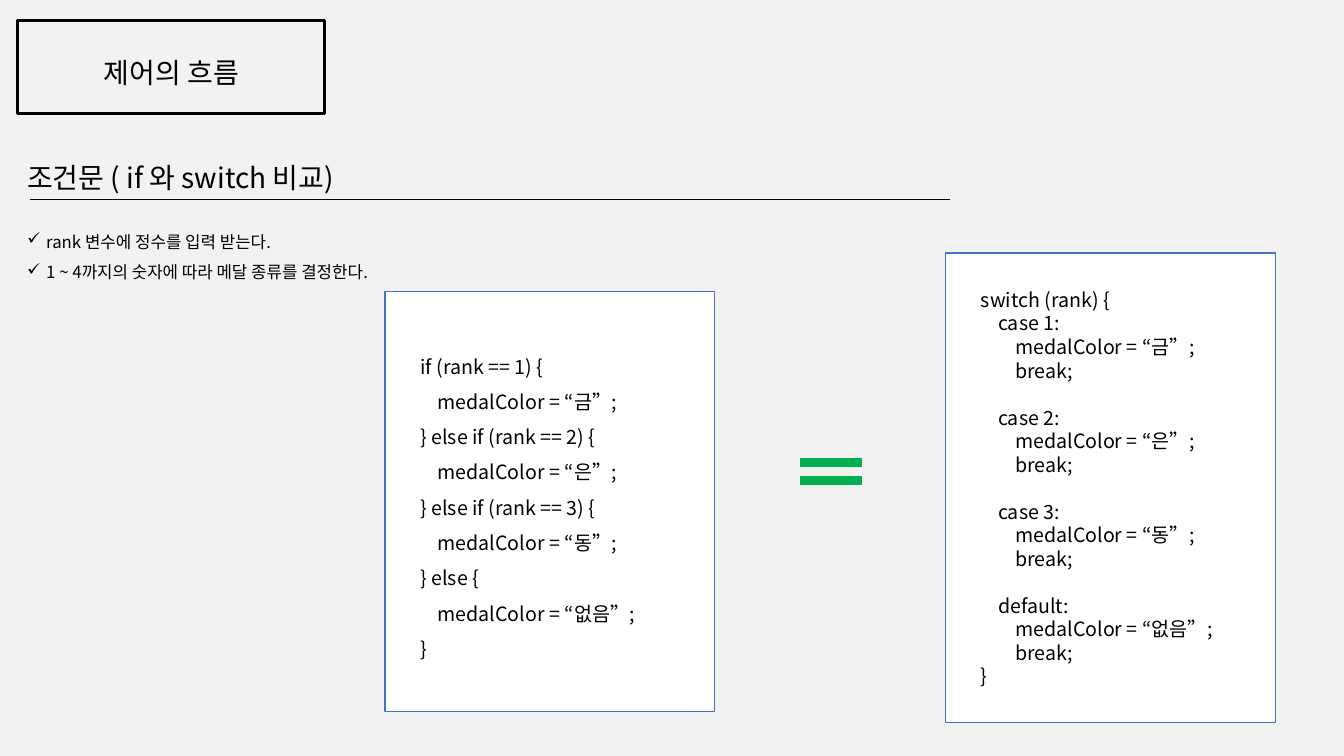
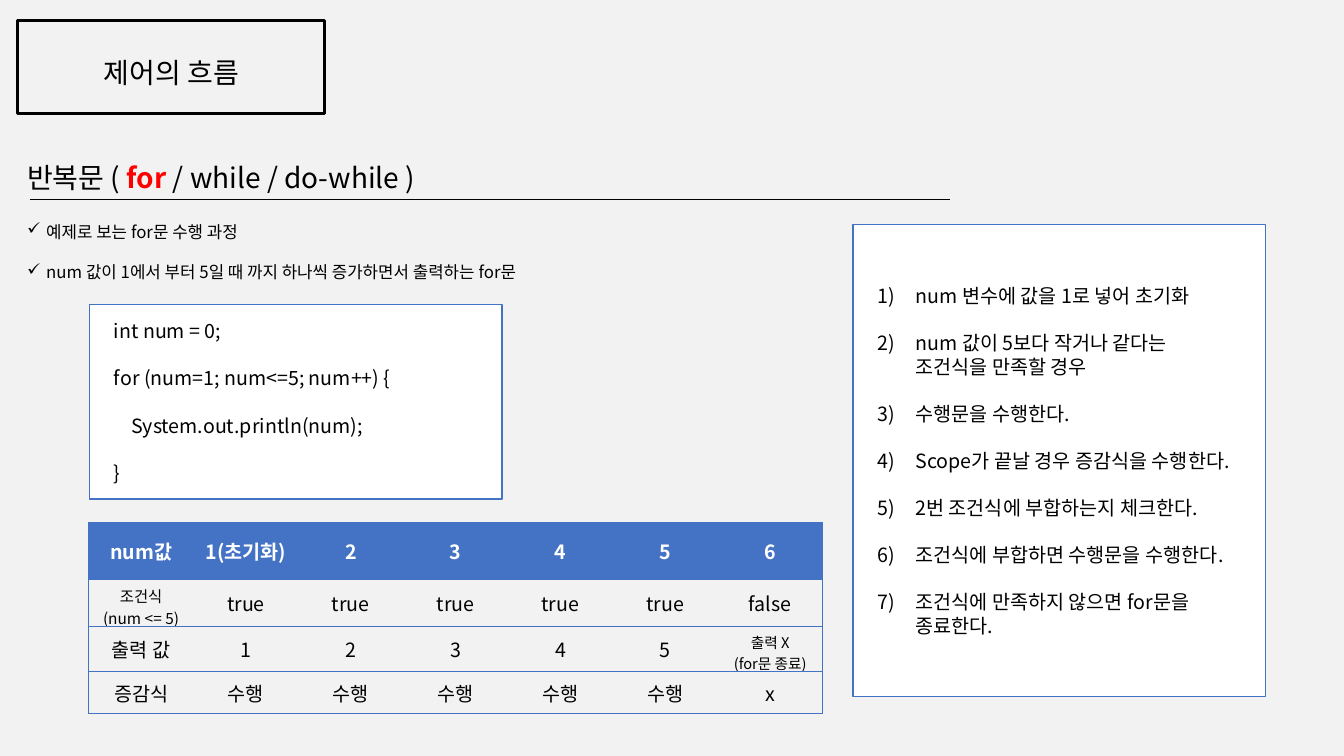
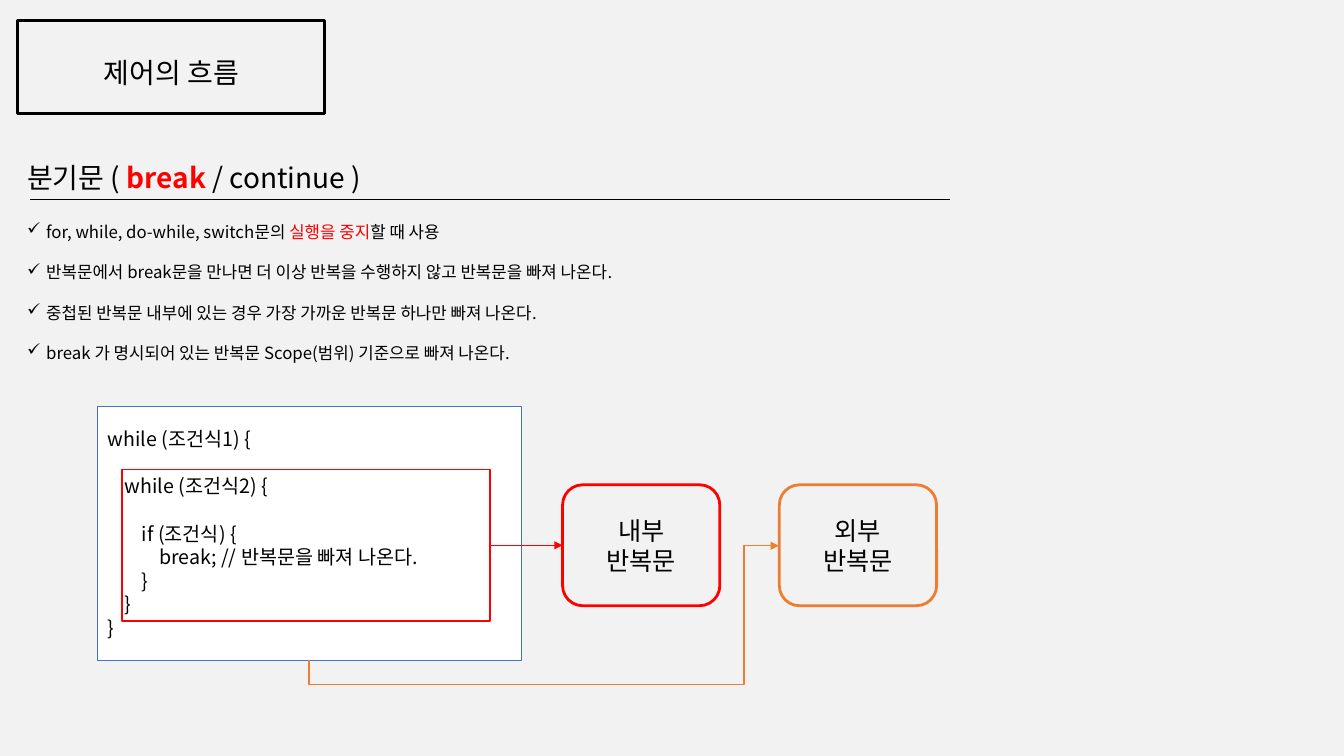
"""Build three slides on control flow: conditions, loops and jumps."""
import pptx
import pptx.util
import pptx.dml.color
import pptx.enum.dml
import pptx.enum.shapes
import pptx.enum.text
import pptx.oxml
import pptx.oxml.ns

PX = 9144
FONT = "Noto Sans CJK KR"
RGB = pptx.dml.color.RGBColor
BLACK, WHITE, PALE = RGB(0, 0, 0), RGB(255, 255, 255), RGB(0xF2, 0xF2, 0xF2)
BLUE, RED = RGB(0x44, 0x72, 0xC4), RGB(255, 0, 0)
GREEN, AMBER = RGB(0, 0xB0, 0x50), RGB(0xED, 0x7D, 0x31)
SHAPE = pptx.enum.shapes.MSO_SHAPE
LINK = pptx.enum.shapes.MSO_CONNECTOR
ALIGN = pptx.enum.text.PP_ALIGN
MID = pptx.enum.text.MSO_ANCHOR.MIDDLE
TOP = pptx.enum.text.MSO_ANCHOR.TOP
NS = pptx.oxml.ns.nsdecls("a")
STEP = 17
CHECK = f'<a:buChar {NS} char="✓"/>'
COUNT = f'<a:buAutoNum {NS} type="arabicParenR"/>'


def box(slide, kind, place, fill=None, line=None, width=1, pad=10, anchor=MID):
    place = [n * PX for n in place]
    if kind is None:
        shape = slide.shapes.add_textbox(*place)
    else:
        shape = slide.shapes.add_shape(kind, *place)
        shape.shadow.inherit = False
    if fill is None:
        shape.fill.background()
    else:
        shape.fill.solid()
        shape.fill.fore_color.rgb = fill
    if line is None:
        shape.line.fill.background()
    else:
        shape.line.color.rgb = line
        shape.line.width = pptx.util.Pt(width)
    frame = shape.text_frame
    frame.word_wrap = True
    frame.vertical_anchor = anchor
    frame.margin_left = pad * PX
    return frame


def say(frame, rows, size=14, align=ALIGN.LEFT, space=None, mark=None, hang=0,
        color=BLACK, bold=False, loud=False):
    """Write rows of (level, blank lines before, text or parts with every second one red)."""
    for i, (level, gap, text) in enumerate(rows):
        para = frame.paragraphs[0] if i == 0 else frame.add_paragraph()
        props = para._p.get_or_add_pPr()
        props.set("marL", str((level * STEP + hang) * PX))
        props.set("indent", str(-hang * PX))
        if mark:
            props.append(pptx.oxml.parse_xml(mark))
        if isinstance(text, str):
            para.text = text
        else:
            for k, part in enumerate(text):
                run = para.add_run()
                run.text = part
                if k % 2:
                    run.font.color.rgb = RED
                    run.font.bold = loud
        para.alignment = align
        if space:
            para.line_spacing = space
        if gap:
            para.space_before = pptx.util.Pt(gap * size * 1.2)
        para.font.size = pptx.util.Pt(size)
        para.font.bold = bold
        para.font.name = FONT
        para.font.color.rgb = color
        props.find(pptx.oxml.ns.qn("a:defRPr")).append(
            pptx.oxml.parse_xml(f'<a:ea {NS} typeface="{FONT}"/>'))


deck = pptx.Presentation()
deck.slide_width, deck.slide_height = 1333 * PX, 750 * PX
back = deck.slide_master.background.fill
back.solid()
back.fore_color.rgb = PALE

heads = [
    (("조건문 ( if 와 switch 비교)",), 0, 1.5,
     ["rank 변수에 정수를 입력 받는다.", "1 ~ 4까지의 숫자에 따라 메달 종류를 결정한다."]),
    (("반복문 ( ", "for", " / while / do-while )"), 1, None,
     ["예제로 보는 for문 수행 과정",
      "num 값이 1에서 부터 5일 때 까지 하나씩 증가하면서 출력하는 for문"]),
    (("분기문 ( ", "break", " / continue )"), 1, None,
     [("for, while, do-while, switch문의 ", "실행을 중지", "할 때 사용"),
      "반복문에서 break문을 만나면 더 이상 반복을 수행하지 않고 반복문을 빠져 나온다.",
      "중첩된 반복문 내부에 있는 경우 가장 가까운 반복문 하나만 빠져 나온다.",
      "break 가 명시되어 있는 반복문 Scope(범위) 기준으로 빠져 나온다."]),
]
slides = []
links = []
for title, gap, space, notes in heads:
    slide = deck.slides.add_slide(deck.slide_layouts[6])
    slides.append(slide)
    say(box(slide, None, (25, 50, 290, 44)), [(0, 0, "제어의 흐름")], 20, ALIGN.CENTER)
    box(slide, SHAPE.RECTANGLE, (17, 20, 305, 93), None, BLACK, 2)
    say(box(slide, None, (17, 154, 551, 44), anchor=TOP), [(0, 0, title)], 20, loud=True)
    say(box(slide, None, (17, 215, 945, 70), anchor=TOP),
        [(0, gap if i else 0, note) for i, note in enumerate(notes)],
        12, ALIGN.JUSTIFY, space, CHECK, 19)
    links.append((slide, LINK.STRAIGHT, (30, 198, 942, 198), BLACK, 1.25, False))
first, second, third = slides

tests = ["if (rank == 1) {", "} else if (rank == 2) {", "} else if (rank == 3) {", "} else {"]
cases = ["case 1:", "case 2:", "case 3:", "default:"]
chain, switch = [], [(0, 0, "switch (rank) {")]
for i, medal in enumerate(["금", "은", "동", "없음"]):
    given = f"medalColor = “{medal}”;"
    chain += [(0, 0, tests[i]), (1, 0, given)]
    switch += [(1, 1 if i else 0, cases[i]), (2, 0, given), (2, 0, "break;")]
close = (0, 0, "}")
say(box(first, SHAPE.RECTANGLE, (382, 289, 327, 417), WHITE, BLUE, pad=35),
    chain + [close], space=1.5)
say(box(first, SHAPE.RECTANGLE, (938, 251, 327, 466), WHITE, BLUE, pad=35), switch + [close])
for top in (455, 473):
    box(first, SHAPE.RECTANGLE, (794, top, 60, 8), GREEN, GREEN)

say(box(second, SHAPE.RECTANGLE, (89, 302, 409, 193), WHITE, BLUE, pad=24),
    [(0, 0, "int num = 0;"), (0, 1, "for (num=1; num<=5; num++) {"),
     (1, 1, "System.out.println(num);"), (0, 1, "}")])
stages = ["num 변수에 값을 1로 넣어 초기화", "num 값이 5보다 작거나 같다는\v조건식을 만족할 경우",
          "수행문을 수행한다.", "Scope가 끝날 경우 증감식을 수행한다.",
          "2번 조건식에 부합하는지 체크한다.", "조건식에 부합하면 수행문을 수행한다.",
          "조건식에 만족하지 않으면 for문을 종료한다."]
say(box(second, SHAPE.RECTANGLE, (846, 223, 409, 468), WHITE, BLUE, pad=24),
    [(0, 1 if i else 0, stage) for i, stage in enumerate(stages)], mark=COUNT, hang=38)

grid = [
    ["num값", "1(초기화)", "2", "3", "4", "5", "6"],
    ["조건식\n(num <= 5)"] + ["true"] * 5 + ["false"],
    ["출력 값", "1", "2", "3", "4", "5", "출력 X\n(for문 종료)"],
    ["증감식"] + ["수행"] * 5 + ["x"],
]
small = {(1, 0): 11, (2, 6): 10.5}
table = second.shapes.add_table(4, 7, 88 * PX, 518 * PX, 728 * PX, 164 * PX).table
table.first_row = table.horz_banding = False
table._tbl.tblPr.find(pptx.oxml.ns.qn("a:tableStyleId")).text = (
    "{2D5ABB26-0587-4C30-8999-92F81FD0307C}")
for r, row in enumerate(grid):
    for c, text in enumerate(row):
        cell = table.cell(r, c)
        cell.vertical_anchor = MID
        say(cell.text_frame, [(0, 0, part) for part in text.split("\n")],
            small.get((r, c), 14), ALIGN.CENTER, color=BLACK if r else WHITE, bold=r == 0)
        sides = "L" * (c == 0) + "R" * (c == 6) + "TB"
        for side in sides:
            cell._tc.get_or_add_tcPr().append(pptx.oxml.parse_xml(
                f'<a:ln{side} {NS} w="6350"><a:solidFill><a:srgbClr val="{BLUE}"/>'
                f'</a:solidFill></a:ln{side}>'))
        if r:
            cell.fill.background()
        else:
            cell.fill.solid()
            cell.fill.fore_color.rgb = BLUE

say(box(third, SHAPE.RECTANGLE, (97, 403, 420, 252), WHITE, BLUE),
    [(0, 0, "while (조건식1) {"), (1, 1, "while (조건식2) {"), (2, 1, "if (조건식) {"),
     (3, 0, "break; // 반복문을 빠져 나온다."), (2, 0, "}"), (1, 0, "}"), close])
box(third, SHAPE.RECTANGLE, (121, 466, 365, 150), None, RED)
for left, word, color in ((558, "내부", RED), (773, "외부", AMBER)):
    say(box(third, SHAPE.ROUNDED_RECTANGLE, (left, 481, 156, 120), None, color, 2),
        [(0, 0, word), (0, 0, "반복문")], 18, ALIGN.CENTER)

links += [(third, LINK.STRAIGHT, (487, 541, 558, 541), RED, 0.5, True),
          (third, LINK.ELBOW, (596, 831, 483, 365), AMBER, 1, True)]
for slide, kind, ends, color, width, arrow in links:
    link = slide.shapes.add_connector(kind, *[n * PX for n in ends])
    link.line.color.rgb = color
    link.line.width = pptx.util.Pt(width)
    props = link._element.spPr
    if arrow:
        link.line._get_or_add_ln().append(
            pptx.oxml.parse_xml(f'<a:tailEnd {NS} type="triangle"/>'))
    if kind == LINK.ELBOW:
        props.find(pptx.oxml.ns.qn("a:xfrm")).set("rot", "5400000")
        shape = props.find(pptx.oxml.ns.qn("a:prstGeom"))
        shape.set("prst", "bentConnector4")
        for old in list(shape):
            shape.remove(old)
        shape.append(pptx.oxml.parse_xml(
            f'<a:avLst {NS}><a:gd name="adj1" fmla="val -22100"/>'
            '<a:gd name="adj2" fmla="val 92600"/></a:avLst>'))
    props.append(pptx.oxml.parse_xml(f"<a:effectLst {NS}/>"))

deck.save("out.pptx")
